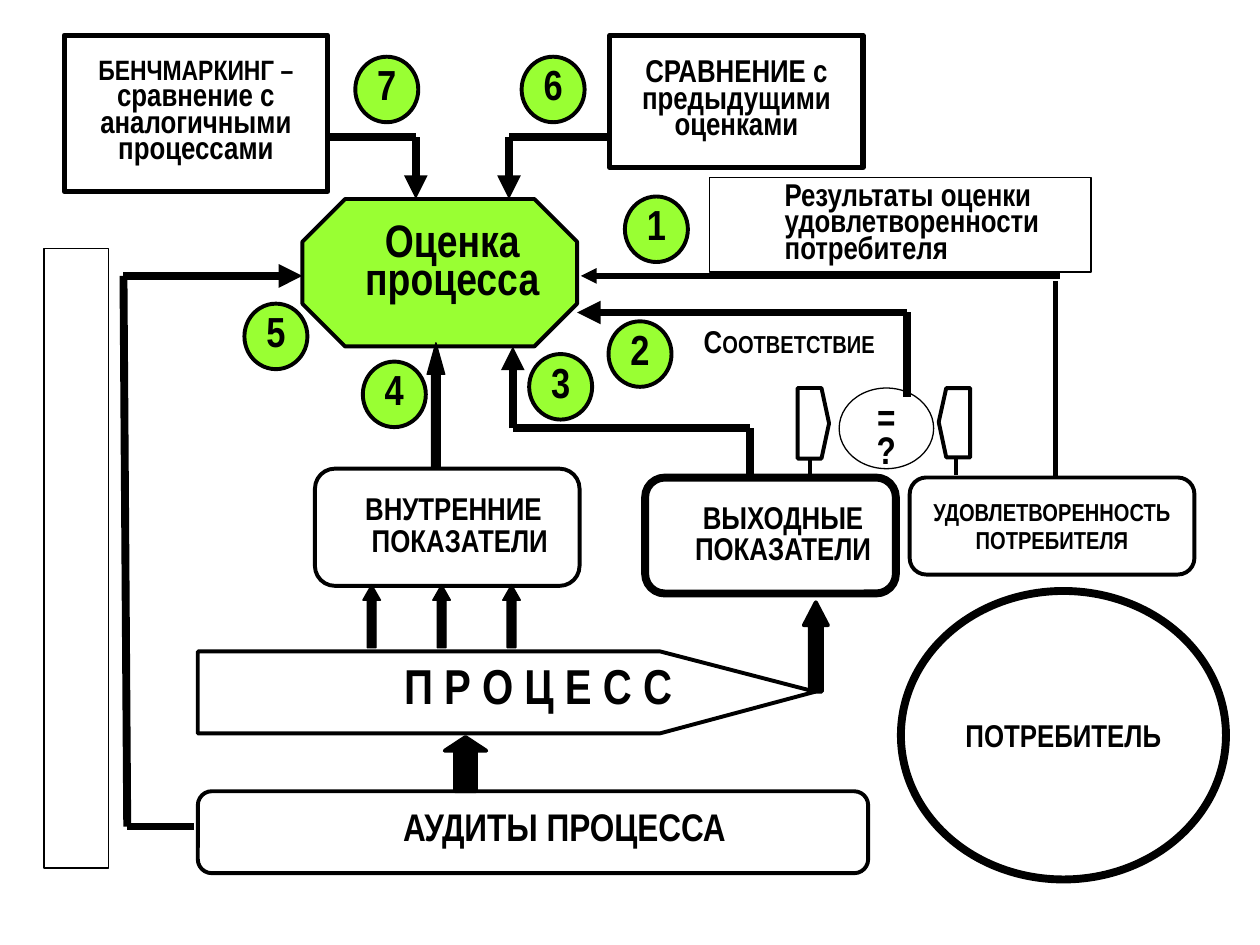
from lxml.etree import SubElement
from pptx import Presentation
from pptx.dml.color import RGBColor
from pptx.enum.shapes import MSO_CONNECTOR, MSO_SHAPE
from pptx.enum.text import MSO_ANCHOR, PP_ALIGN
from pptx.oxml.ns import qn
from pptx.util import Inches, Pt

BLACK = RGBColor(0x00, 0x00, 0x00)
GREEN = RGBColor(0x99, 0xFF, 0x33)
FONT = "Arial Narrow"
TOP, MID = MSO_ANCHOR.TOP, MSO_ANCHOR.MIDDLE
LEFT, MIDDLE = PP_ALIGN.LEFT, PP_ALIGN.CENTER
RECT, ROUND = MSO_SHAPE.RECTANGLE, MSO_SHAPE.ROUNDED_RECTANGLE
OVAL, ARROW = MSO_SHAPE.OVAL, MSO_SHAPE.UP_ARROW

deck = Presentation()
deck.slide_width, deck.slide_height = Inches(10), Inches(7.5)
slide = deck.slides.add_slide(deck.slide_layouts[6])
shapes = slide.shapes

# Grid of 100 columns by 75 rows; all places below are in its cells
COL = deck.slide_width / 100
ROW = deck.slide_height / 75


def paint(shape, weight, fill=None):
    shape.shadow.inherit = False
    if fill is None:
        shape.fill.background()
    else:
        shape.fill.solid()
        shape.fill.fore_color.rgb = fill
    shape.line.color.rgb = BLACK
    shape.line.width = Pt(weight)


def write(shape, runs, space=0.7, anchor=MID, align=MIDDLE, margin=0, indent=0):
    """Fill the shape with one paragraph of (text, size) runs."""
    frame = shape.text_frame
    frame.word_wrap = True
    frame.vertical_anchor = anchor
    para = frame.paragraphs[0]
    props = para._p.get_or_add_pPr()
    props.set("marL", str(Inches(margin)))
    props.set("indent", str(Inches(indent)))
    para.alignment = align
    para.line_spacing = space
    para.font.name, para.font.bold = FONT, True
    para.font.color.rgb = BLACK
    for text, size in runs:
        run = para.add_run()
        run.text = text
        run.font.size = Pt(size)


# Boxes: kind, left, top, width, height, line, fill, corner, runs, text layout
boxes = [
    (MSO_SHAPE.OCTAGON, 24, 15.8, 21.8, 11.7, 2.25, GREEN, 0.29,
     [("Оценка процесса", 26)], {"anchor": TOP, "margin": 0.2}),
    (ROUND, 15.7, 62.8, 53.2, 6.5, 2.25, None, 0.17,
     [("АУДИТЫ ПРОЦЕССА", 22)], {"margin": 0.5}),
    (ROUND, 25, 37.2, 21, 9.3, 2.25, None, 0.17,
     [("ВНУТРЕННИЕ ПОКАЗАТЕЛИ", 18)],
     {"space": Pt(18), "margin": 0.2, "indent": -0.1}),
    (OVAL, 71.5, 46.9, 25.8, 22.9, 4.5, None, None,
     [("ПОТРЕБИТЕЛЬ", 18)], {"space": 1.0}),
    (ROUND, 51.2, 37.9, 19.9, 9.2, 4.5, None, 0.17,
     [("ВЫХОДНЫЕ ПОКАЗАТЕЛИ", 18)], {"space": Pt(18), "margin": 0.2}),
    (ROUND, 72.2, 37.9, 22.6, 7.7, 2.25, None, 0.17,
     [("УДОВЛЕТВОРЕННОСТЬ ПОТРЕБИТЕЛЯ", 14)], {"space": Pt(16)}),
    (OVAL, 66.6, 30.8, 7.5, 6.4, 0.75, None, None,
     [("= ?", 22)], {"anchor": TOP}),
    (RECT, 5.1, 2.8, 20.9, 12.4, 3, None, None,
     [("БЕНЧМАРКИНГ – ", 16), ("сравнение с аналогичными процессами", 18)], {}),
    (RECT, 48.4, 2.8, 20.1, 10.5, 3, None, None,
     [("СРАВНЕНИЕ с предыдущими оценками", 18)], {}),
    (RECT, 56.3, 14.1, 30.3, 7.5, 0.75, None, None,
     [("Результаты оценки удовлетворенности потребителя", 18)],
     {"align": LEFT, "margin": 0.5}),
    (RECT, 3.5, 19.7, 5.1, 49.2, 0.75, None, None, [], {}),
]
# Numbered marks
marks = [(49.6, 15.6), (48.3, 25.5), (42, 28.1), (28.8, 28.7),
         (19.4, 24.1), (41.4, 4.5), (28.2, 4.5)]
boxes += [(OVAL, x, y, 5, 5.2, 2.25, GREEN, None, [(str(num), 24)], {"anchor": TOP})
          for num, (x, y) in enumerate(marks, 1)]

for kind, x, y, wide, high, weight, fill, corner, runs, style in boxes:
    box = shapes.add_shape(kind, round(x * COL), round(y * ROW),
                           round(wide * COL), round(high * ROW))
    if corner:
        box.adjustments[0] = corner
    paint(box, weight, fill)
    if runs:
        write(box, runs, **style)

label = shapes.add_textbox(round(54.5 * COL), round(25.5 * ROW),
                           round(16.3 * COL), round(3.9 * ROW))
write(label, [("С", 18), ("ООТВЕТСТВИЕ", 14)])

# Process pennant and the two flags that face the comparison
outlines = [
    [(15.7, 51.7), (52.4, 51.7), (64.7, 54.9), (52.4, 58.2), (15.7, 58.2)],
    [(63.3, 30.8), (65.2, 30.8), (65.8, 33.6), (65.2, 36.4), (63.3, 36.4)],
    [(77, 30.8), (75.1, 30.8), (74.5, 33.5), (75.1, 36.3), (77, 36.3)],
]
forms = []
for outline in outlines:
    start, *rest = [(round(x * COL), round(y * ROW)) for x, y in outline]
    pen = shapes.build_freeform(*start)
    pen.add_line_segments(rest, close=True)
    form = pen.convert_to_shape()
    paint(form, 2.25)
    forms.append(form)
write(forms[0], [("П Р О Ц Е С С", 28)], margin=0.5)

# Block arrows: left, top, width, height, line, head length
arrows = [(63.8, 47.8, 1.9, 7.1, 2.25, 0.96), (35.3, 58.5, 3.3, 4.3, 2.25, 0.33),
          (33.9, 27.2, 1.4, 9.9, 0.75, 1.79)]
arrows += [(28.8 + 5.55 * step, 46.4, 1.4, 5, 0.75, 0.88) for step in range(3)]
for x, y, wide, high, weight, head in arrows:
    arrow = shapes.add_shape(ARROW, round(x * COL), round(y * ROW),
                             round(wide * COL), round(high * ROW))
    arrow.adjustments[1] = head
    paint(arrow, weight, BLACK)

# Routes: line weight, arrowhead at the end, corner points
routes = [
    (4.5, True, [(15.4, 65.6), (10.1, 65.6), (9.8, 21.9), (24, 21.9)]),
    (3, False, [(83.8, 38), (83.8, 22.3)]),
    (3, True, [(84.1, 21.9), (46.1, 21.9)]),
    (4.5, True, [(59.5, 37.9), (59.5, 34), (40.7, 34), (40.7, 27.5)]),
    (4.5, True, [(72, 31.5), (72, 24.8), (45.8, 24.8)]),
    (4.5, True, [(25.9, 10.9), (33, 10.9), (33, 15.8)]),
    (4.5, True, [(48.4, 10.9), (40.4, 10.9), (40.4, 15.8)]),
    (2.25, False, [(64.3, 37.9), (64.3, 36.5)]),
    (2.25, False, [(75.9, 37.7), (75.9, 36.4)]),
]
for weight, head, points in routes:
    for (x, y), (right, low) in zip(points, points[1:]):
        leg = shapes.add_connector(MSO_CONNECTOR.STRAIGHT, round(x * COL), round(y * ROW),
                                   round(right * COL), round(low * ROW))
        leg.line.color.rgb = BLACK
        leg.line.width = Pt(weight)
        props = leg._element.spPr
        if head and (right, low) == points[-1]:
            SubElement(props.find(qn("a:ln")), qn("a:tailEnd"), type="triangle")
        SubElement(props, qn("a:effectLst"))

deck.save("out.pptx")
